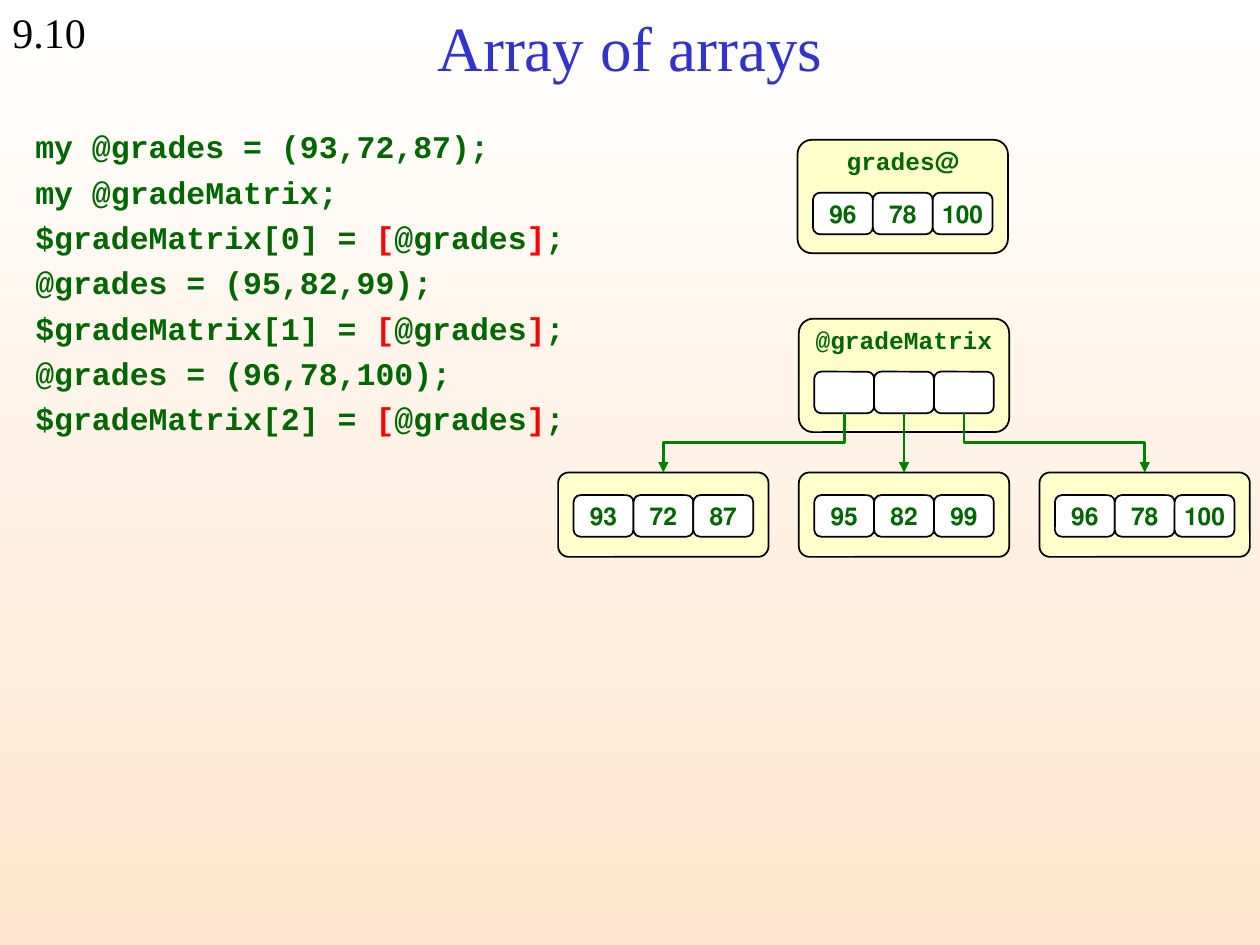
import pptx
import pptx.util
import pptx.dml.color
import pptx.enum.shapes
import pptx.enum.text
import lxml.etree
from pptx.oxml.ns import qn

# Content: a code line is either plain text or (before, bracketed, after)
TITLE = "Array of arrays"
PAGE_NUMBER = "9.10"
CODE = [
    ("my @grades = (93,72,87);",),
    ("my @gradeMatrix;",),
    ("$gradeMatrix[0] = ", "@grades", ";"),
    ("@grades = (95,82,99);",),
    ("$gradeMatrix[1] = ", "@grades", ";"),
    ("@grades = (96,78,100);",),
    ("$gradeMatrix[2] = ", "@grades", ";"),
]
GRADES = ("96", "78", "100")
MATRIX_ROWS = [("93", "72", "87"), ("95", "82", "99"), ("96", "78", "100")]

# Style and grid, in inches
GREEN, RED, BLACK, WHITE = "006600", "FF0101", "000000", "FFFFFF"
CREAM, ARROW, TITLE_BLUE = "FFFFCC", "008000", "3333CC"
MONO, SERIF = "Courier New", "Times New Roman"
BOX_WIDTH, CELL_WIDTH, CELL_HEIGHT = 1.67, 0.475, 0.33
COLUMN_LEFT, COLUMN_STEP = 4.43, 1.91
LABEL_WIDTH, LABEL_HEIGHT = 2.3, 0.34

inches = pptx.util.Inches
shape_types = pptx.enum.shapes.MSO_SHAPE
connector_types = pptx.enum.shapes.MSO_CONNECTOR
align = pptx.enum.text.PP_ALIGN
anchor = pptx.enum.text.MSO_ANCHOR


def rgb(value):
    return pptx.dml.color.RGBColor.from_string(value)


def style(paragraph, size, font, color, bold=False, alignment=None, rtl=False):
    if alignment is not None:
        paragraph.alignment = alignment
    paragraph.font.size = pptx.util.Pt(size)
    paragraph.font.name = font
    paragraph.font.bold = bold
    paragraph.font.color.rgb = rgb(color)
    if rtl:
        paragraph._p.get_or_add_pPr().set("rtl", "1")


def place(shape, left, top, width, height):
    shape.left, shape.top = inches(left), inches(top)
    shape.width, shape.height = inches(width), inches(height)


def rounded(shapes, left, top, width, height, fill, radius):
    shape = shapes.add_shape(shape_types.ROUNDED_RECTANGLE, inches(left),
                             inches(top), inches(width), inches(height))
    shape.adjustments[0] = radius
    shape.shadow.inherit = False
    shape.fill.solid()
    shape.fill.fore_color.rgb = rgb(fill)
    shape.line.color.rgb = rgb(BLACK)
    shape.line.width = pptx.util.Pt(1)
    return shape


def array_box(slide, left, top, values, label=None, rtl_label=False):
    """Draw one array; return its frame and its cells."""
    shapes = slide.shapes.add_group_shape().shapes
    height, cell_offset = (0.9, 0.42) if label else (0.67, 0.18)
    frame = rounded(shapes, left, top, BOX_WIDTH, height, CREAM, 0.126)
    if label:
        box = shapes.add_textbox(
            inches(left + (BOX_WIDTH - LABEL_WIDTH) / 2), inches(top),
            inches(LABEL_WIDTH), inches(LABEL_HEIGHT))
        box.text_frame.word_wrap = True
        box.text_frame.text = label
        style(box.text_frame.paragraphs[0], 14, MONO, GREEN, True,
              align.CENTER, rtl_label)
    cells = []
    first = left + (BOX_WIDTH - len(values) * CELL_WIDTH) / 2
    for index, value in enumerate(values):
        cell = rounded(shapes, first + index * CELL_WIDTH, top + cell_offset,
                       CELL_WIDTH, CELL_HEIGHT, WHITE, 0.167)
        if value:
            cell.text_frame.text = value
            cell.text_frame.word_wrap = False
            cell.text_frame.vertical_anchor = anchor.MIDDLE
            style(cell.text_frame.paragraphs[0], 14, MONO, GREEN, True,
                  align.CENTER, True)
        cells.append(cell)
    return frame, cells


def arrow(slide, cell, frame):
    """Join a cell's bottom to a frame's top, turning the elbow upright."""
    start_x, start_y = cell.left + cell.width // 2, cell.top + cell.height
    end_x, end_y = frame.left + frame.width // 2, frame.top
    across, down = end_x - start_x, end_y - start_y
    straight = abs(across) < inches(0.02)
    kind = connector_types.STRAIGHT if straight else connector_types.ELBOW
    connector = slide.shapes.add_connector(kind, start_x, start_y, end_x, end_y)
    connector.begin_connect(cell, 2)
    connector.end_connect(frame, 0)
    properties = connector._element.spPr
    if not straight:
        transform = properties.find(qn("a:xfrm"))
        transform.attrib.clear()
        transform.set("rot", str((270 if across > 0 else 90) * 60000))
        if across > 0:
            transform.set("flipH", "1")
        connector.width, connector.height = down, abs(across)
        connector.left = (start_x + end_x - down) // 2
        connector.top = (start_y + end_y - abs(across)) // 2
    connector.line.color.rgb = rgb(ARROW)
    connector.line.width = pptx.util.Pt(1.5)
    line = properties.find(qn("a:ln"))
    lxml.etree.SubElement(line, qn("a:tailEnd"), type="triangle")
    lxml.etree.SubElement(properties, qn("a:effectLst"))


def add_code(body):
    frame = body.text_frame
    for index, parts in enumerate(CODE):
        paragraph = frame.add_paragraph() if index else frame.paragraphs[0]
        paragraph.line_spacing = 1.2
        paragraph.space_before = pptx.util.Pt(0)
        settings = paragraph._p.get_or_add_pPr()
        settings.set("marL", "0")
        settings.set("indent", "0")
        lxml.etree.SubElement(settings, qn("a:buNone"))
        style(paragraph, 18, MONO, GREEN, True)
        if len(parts) == 3:
            before, inner, after = parts
            parts = (before, "[", inner, "]", after)
        for text in parts:
            run = paragraph.add_run()
            run.text = text
            if text in ("[", "]"):
                run.font.color.rgb = rgb(RED)


def main():
    presentation = pptx.Presentation()
    presentation.slide_width, presentation.slide_height = inches(10), inches(7.5)
    slide = presentation.slides.add_slide(presentation.slide_layouts[1])

    # Background, white at the top
    background = slide.background.fill
    background.gradient()
    background.gradient_angle = 270
    for stop, color, position in zip(background.gradient_stops,
                                     (WHITE, "FFE5CD"), (0, 1)):
        stop.color.rgb = rgb(color)
        stop.position = position

    # Page number, title and code
    number = slide.shapes.add_textbox(0, 0, inches(1.14), inches(0.5))
    number.text_frame.text = PAGE_NUMBER
    style(number.text_frame.paragraphs[0], 24, SERIF, BLACK)
    title, body = slide.shapes.title, slide.placeholders[1]
    place(title, 0.75, 0.04, 8.5, 0.66)
    title.text_frame.text = TITLE
    title.text_frame.vertical_anchor = anchor.MIDDLE
    style(title.text_frame.paragraphs[0], 36, SERIF, TITLE_BLUE,
          alignment=align.CENTER)
    place(body, 0.18, 0.9, 9.74, 3.96)
    add_code(body)

    # Arrays, with one arrow from each matrix cell to its row
    middle = COLUMN_LEFT + COLUMN_STEP
    array_box(slide, middle - 0.01, 1.11, GRADES, "@grades", True)
    rows = [array_box(slide, COLUMN_LEFT + index * COLUMN_STEP, 3.75, values)[0]
            for index, values in enumerate(MATRIX_ROWS)]
    cells = array_box(slide, middle, 2.53, ("",) * 3, "@gradeMatrix")[1]
    for cell, row in zip(cells, rows):
        arrow(slide, cell, row)

    presentation.save("out.pptx")


if __name__ == "__main__":
    main()
